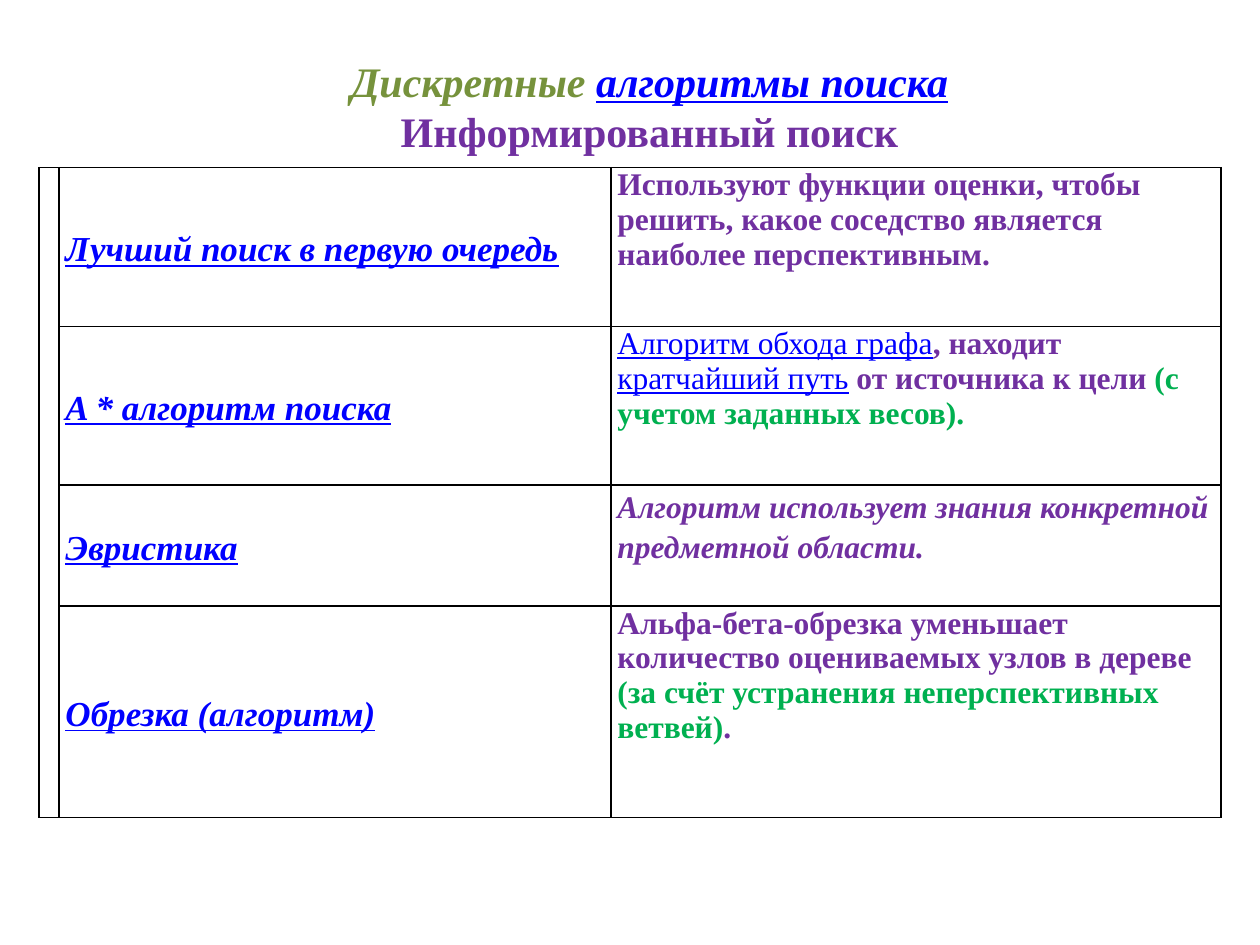
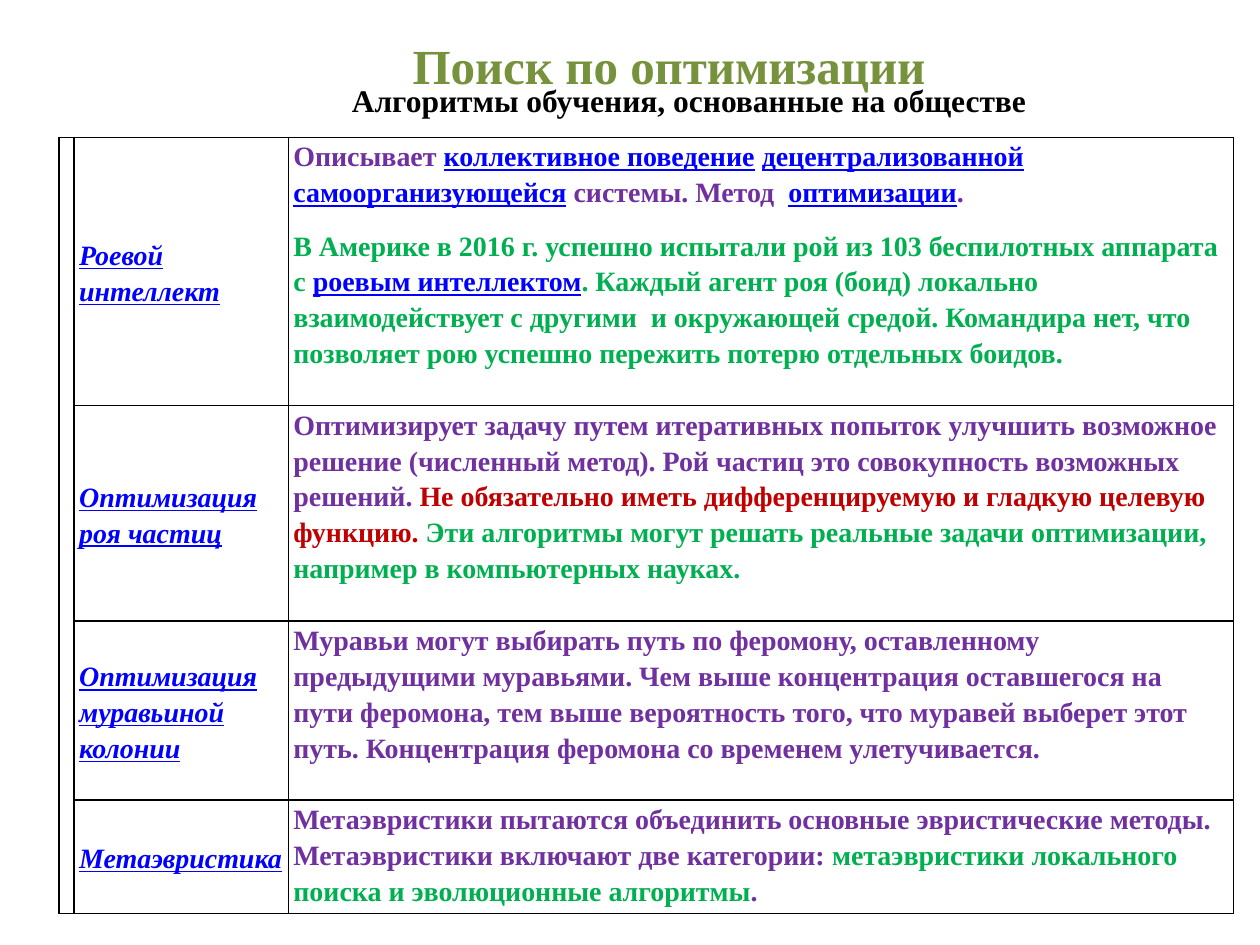
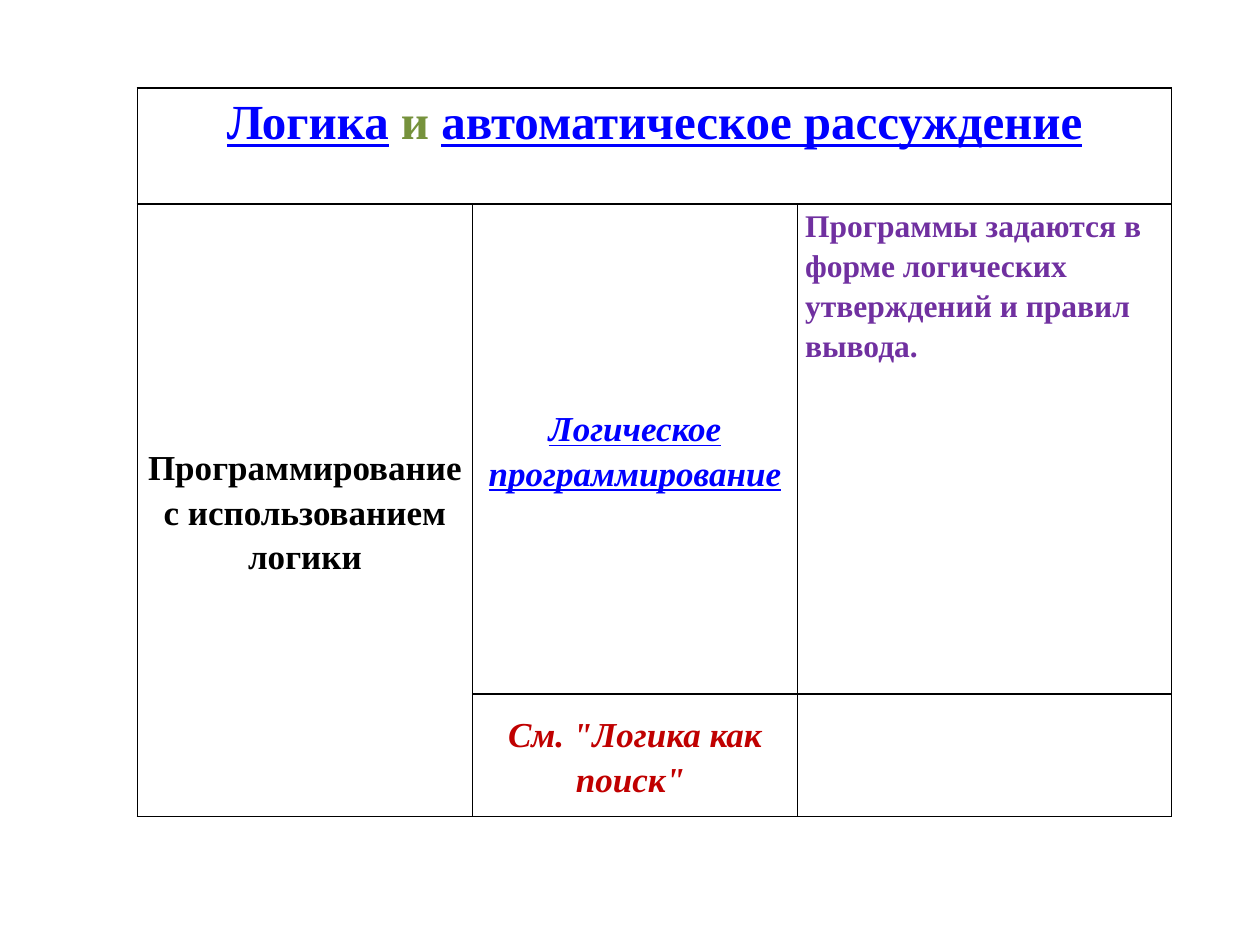
from dataclasses import dataclass
from typing import Any, NamedTuple

from lxml.etree import SubElement
from pptx import Presentation
from pptx.dml.color import RGBColor
from pptx.enum.text import MSO_ANCHOR, MSO_AUTO_SIZE, PP_ALIGN
from pptx.oxml.ns import qn
from pptx.util import Inches, Pt

WIDTH, HEIGHT = 10, 7.5
FONT = "Times New Roman"
BLACK, LINK_BLUE, PURPLE = "000000", "0000FF", "7030A0"
GREEN, OLIVE, RED = "00B050", "76923C", "C00000"
TITLE_ONLY, BLANK = 5, 6


class Span(NamedTuple):
    """A piece of text in one style."""
    text: str
    color: str = PURPLE
    bold: bool = True
    italic: bool = False
    underline: bool = False


class Para(NamedTuple):
    """A paragraph with its spacing and alignment."""
    spans: list[Span]
    line_spacing: float = 1.15
    after: float = 10
    centered: bool = False


class CellText(NamedTuple):
    """The text of one table cell, at its row and column."""
    row: int
    column: int
    paras: list[Para]
    size: float
    middle: bool = False


class Frame(NamedTuple):
    """A rectangle in percent of the slide's width and height."""
    left: float
    top: float
    width: float
    height: float


@dataclass
class Grid:
    """A ruled table whose lengths are percent of the slide."""
    left: float
    top: float
    columns: list[float]
    rows: list[float]
    inset: float
    merges: list[tuple[int, int, int, int]]
    texts: list[CellText]


def across(percent: float) -> int:
    """Turn a share of the slide's width into a length."""
    return Inches(WIDTH * percent / 100)


def down(percent: float) -> int:
    """Turn a share of the slide's height into a length."""
    return Inches(HEIGHT * percent / 100)


def rgb(color: str) -> RGBColor:
    """Turn a hex string into a colour."""
    return RGBColor.from_string(color)


def assign(target: Any, values: dict[str, Any]) -> None:
    """Set each named attribute of the target."""
    for name, value in values.items():
        setattr(target, name, value)


def link(text: str, bold: bool = True, italic: bool = False) -> Span:
    """Style a term as an underlined blue reference."""
    return Span(text, LINK_BLUE, bold, italic, True)


def plain(*spans: Span) -> Para:
    """Make a single-spaced paragraph."""
    return Para(list(spans), 1.0, 0)


def loose(*spans: Span) -> Para:
    """Make a widely spaced paragraph."""
    return Para(list(spans))


def term(row: int, text: str, size: float) -> CellText:
    """Make the cell that names a method in the second column."""
    return CellText(row, 1, [loose(link(text, italic=True))], size, True)


def write(frame: Any, paras: list[Para], size: float) -> None:
    """Fill a text frame with styled paragraphs."""
    for index, source in enumerate(paras):
        para = frame.add_paragraph() if index else frame.paragraphs[0]
        assign(para, {
            "alignment": PP_ALIGN.CENTER if source.centered else PP_ALIGN.LEFT,
            "line_spacing": source.line_spacing,
            "space_after": Pt(source.after),
        })
        for piece in source.spans:
            span = para.add_run()
            span.text = piece.text
            span.font.color.rgb = rgb(piece.color)
            assign(span.font, {
                "name": FONT, "size": Pt(size), "bold": piece.bold,
                "italic": piece.italic, "underline": piece.underline,
            })


def place_text(box: Any, frame: Frame, paras: list[Para], size: float) -> None:
    """Put a text shape in its frame and fill it."""
    assign(box, {
        "left": across(frame.left), "top": down(frame.top),
        "width": across(frame.width), "height": down(frame.height),
    })
    assign(box.text_frame, {
        "word_wrap": True, "auto_size": MSO_AUTO_SIZE.NONE,
        "vertical_anchor": MSO_ANCHOR.TOP,
    })
    write(box.text_frame, paras, size)


def rule_cell(cell: Any, inset: float) -> None:
    """Give a cell black borders, no fill and narrow margins."""
    properties = cell._tc.get_or_add_tcPr()
    for side in ("lnL", "lnR", "lnT", "lnB"):
        line = SubElement(properties, qn(f"a:{side}"), w=str(Pt(1)))
        fill = SubElement(line, qn("a:solidFill"))
        SubElement(fill, qn("a:srgbClr"), val=BLACK)
    cell.fill.background()
    assign(cell, {
        "margin_left": Inches(inset), "margin_right": Inches(inset),
        "margin_top": 0, "margin_bottom": 0,
    })


def draw_grid(page: Any, grid: Grid) -> None:
    """Draw a ruled table with its merged cells and texts."""
    table = page.shapes.add_table(
        len(grid.rows), len(grid.columns), across(grid.left), down(grid.top),
        across(sum(grid.columns)), down(sum(grid.rows))).table
    assign(table, {"first_row": False, "horz_banding": False})
    for column, share in zip(table.columns, grid.columns):
        column.width = across(share)
    for row, share in zip(table.rows, grid.rows):
        row.height = down(share)
    for cell in table.iter_cells():
        rule_cell(cell, grid.inset)
    for top, left, bottom, right in grid.merges:
        table.cell(top, left).merge(table.cell(bottom, right))
    for text in grid.texts:
        cell = table.cell(text.row, text.column)
        cell.vertical_anchor = MSO_ANCHOR.MIDDLE if text.middle else MSO_ANCHOR.TOP
        write(cell.text_frame, text.paras, text.size)


def add_page(deck: Any, layout: int, grid: Grid) -> Any:
    """Add a slide that carries one table."""
    page = deck.slides.add_slide(deck.slide_layouts[layout])
    draw_grid(page, grid)
    return page


INFORMED_SEARCH = Grid(
    3.1, 17.73, [1.6, 43.8, 48.4], [16.8, 16.8, 12.8, 22.4], 0.05, [(0, 0, 3, 0)], [
        term(0, "Лучший поиск в первую очередь", 20),
        CellText(0, 2, [plain(Span(
            "Используют функции оценки, чтобы решить, какое соседство является "
            "наиболее перспективным."))], 18),
        term(1, "A * алгоритм поиска", 20),
        CellText(1, 2, [plain(
            link("Алгоритм обхода графа", bold=False), Span(", находит "),
            link("кратчайший путь", bold=False), Span(" от источника к цели "),
            Span("(с учетом заданных весов).", GREEN))], 18),
        term(2, "Эвристика", 20),
        CellText(2, 2, [loose(Span(
            "Алгоритм использует знания конкретной предметной области.",
            italic=True))], 18),
        term(3, "Обрезка (алгоритм)", 20),
        CellText(3, 2, [
            plain(Span("Альфа-бета-обрезка уменьшает количество оцениваемых "
                       "узлов в дереве")),
            plain(Span("(за счёт устранения неперспективных ветвей)", GREEN),
                  Span("."))], 18),
    ])

OPTIMIZATION = Grid(
    4.7, 14.53, [1, 17, 75], [28.4, 22.8, 18.93, 12], 0.04, [(0, 0, 3, 0)], [
        term(0, "Роевой интеллект", 16),
        CellText(0, 2, [
            loose(Span("Описывает "), link("коллективное поведение"), Span(" "),
                  link("децентрализованной"), Span(" "),
                  link("самоорганизующейся"), Span(" системы. Метод  "),
                  link("оптимизации"), Span(".")),
            loose(Span("В Америке в 2016 г. успешно испытали рой из 103 "
                       "беспилотных аппарата с ", GREEN),
                  link("роевым интеллектом"),
                  Span(". Каждый агент роя (боид) локально взаимодействует с "
                       "другими  и окружающей средой. Командира нет, что "
                       "позволяет рою успешно пережить потерю отдельных "
                       "боидов.", GREEN))], 16),
        term(1, "Оптимизация роя частиц", 16),
        CellText(1, 2, [Para([
            Span("Оптимизирует задачу путем итеративных попыток улучшить "
                 "возможное решение (численный метод). Рой частиц это "
                 "совокупность возможных решений. "),
            Span("Не обязательно иметь дифференцируемую и гладкую целевую "
                 "функцию. ", RED),
            Span("Эти алгоритмы могут решать реальные задачи оптимизации, "
                 "например в компьютерных науках.", GREEN)], after=0)], 16),
        term(2, "Оптимизация муравьиной колонии", 16),
        CellText(2, 2, [loose(Span(
            "Муравьи могут выбирать путь по феромону, оставленному предыдущими "
            "муравьями. Чем выше концентрация оставшегося на пути феромона, тем "
            "выше вероятность того, что муравей выберет этот путь. Концентрация "
            "феромона со временем улетучивается."))], 16),
        term(3, "Метаэвристика", 16),
        CellText(3, 2, [loose(
            Span("Метаэвристики пытаются объединить основные эвристические "
                 "методы. Метаэвристики включают две категории: "),
            Span("метаэвристики локального поиска и эволюционные алгоритмы",
                 GREEN),
            Span("."))], 16),
    ])

LOGIC = Grid(
    10.9, 9.33, [26.6, 25.8, 29.7], [12.27, 51.87, 12.93], 0.06,
    [(0, 0, 0, 2), (1, 0, 2, 0)], [
        CellText(0, 0, [Para([
            link("Логика"), Span(" и ", OLIVE),
            link("автоматическое рассуждение")], centered=True)], 28),
        CellText(1, 0, [Para([Span(
            "Программирование с использованием логики", BLACK)],
            centered=True)], 20, True),
        CellText(1, 1, [Para([link(
            "Логическое программирование", italic=True)],
            centered=True)], 20, True),
        CellText(1, 2, [loose(Span(
            "Программы задаются в форме логических утверждений и правил "
            "вывода."))], 18),
        CellText(2, 1, [Para([Span(
            'См. "Логика как поиск" ', RED, italic=True)],
            centered=True)], 20, True),
    ])


def main() -> None:
    """Build the three slides and save them."""
    deck = Presentation()
    assign(deck, {"slide_width": Inches(WIDTH), "slide_height": Inches(HEIGHT)})

    page = add_page(deck, TITLE_ONLY, INFORMED_SEARCH)
    place_text(page.shapes.title, Frame(7.8, 5.2, 87.5, 12.13), [
        Para([Span("Дискретные ", OLIVE, italic=True),
              link("алгоритмы поиска", italic=True)], 1.0, 0, True),
        Para([Span("Информированный поиск")], 1.0, 0, True)], 24)

    page = add_page(deck, TITLE_ONLY, OPTIMIZATION)
    place_text(page.shapes.title, Frame(15.6, 2.13, 75, 8.13), [
        Para([Span("Поиск по оптимизации", OLIVE)], after=0, centered=True)], 28)
    subtitle = page.shapes.add_textbox(0, 0, 0, 0)
    place_text(subtitle, Frame(18, 7.33, 73.4, 6), [
        Para([Span("Алгоритмы обучения, основанные на обществе", BLACK)],
             centered=True)], 18)

    add_page(deck, BLANK, LOGIC)
    deck.save("out.pptx")


if __name__ == "__main__":
    main()
